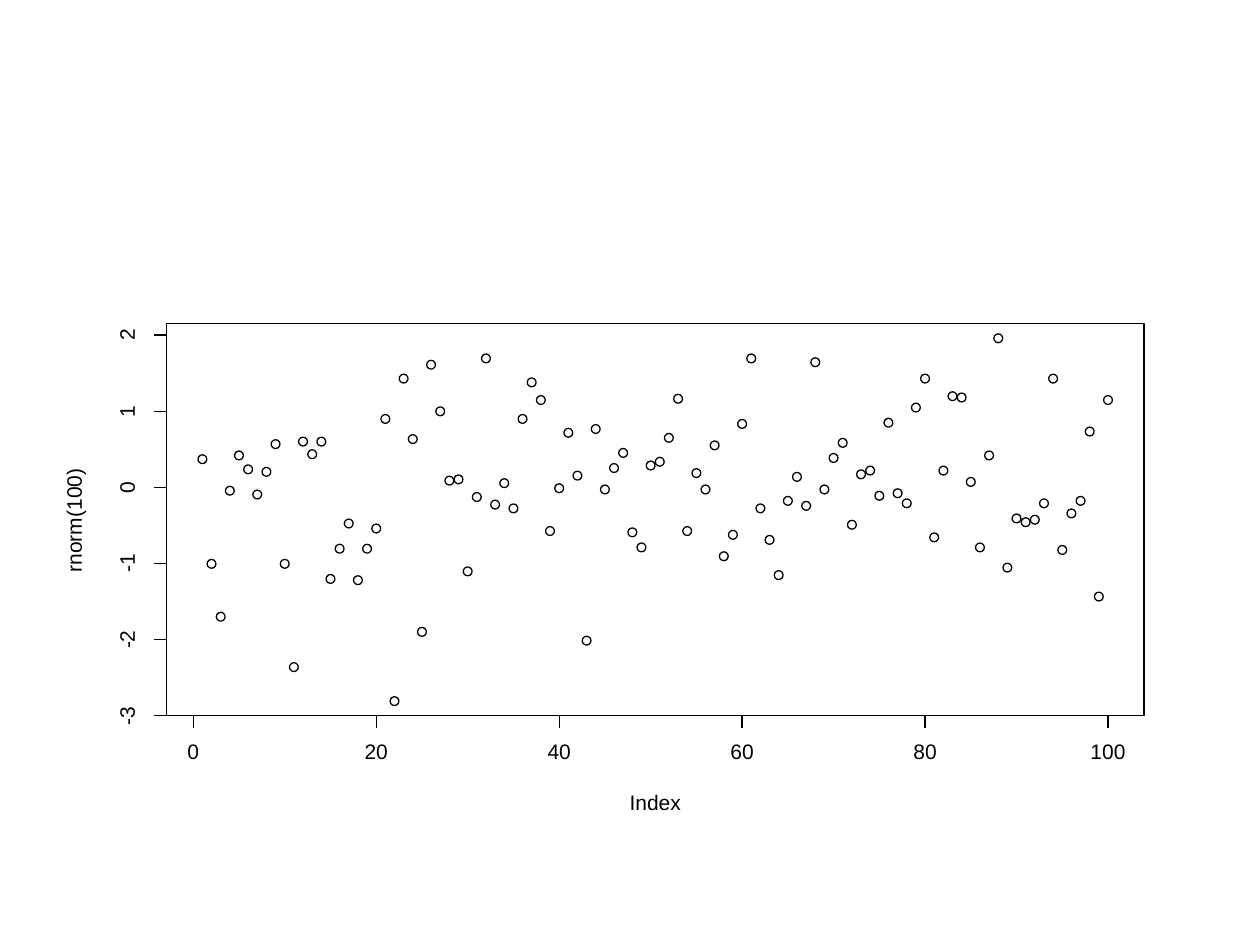
import lxml.etree
import pptx
import pptx.dml.color
import pptx.enum.shapes
import pptx.enum.text
import pptx.oxml.ns
import pptx.util

PX = 9144
BLACK = pptx.dml.color.RGBColor(0x00, 0x00, 0x00)
WHITE = pptx.dml.color.RGBColor(0xFF, 0xFF, 0xFF)
FONT = "Arial"
SHAPE = pptx.enum.shapes.MSO_SHAPE

FRAME_LEFT, FRAME_TOP, FRAME_RIGHT, FRAME_BOTTOM = 132, 257, 908, 568
X_ZERO, X_UNIT = 153.4, 7.26
Y_MIN, Y_UNIT = -3, 60.4
TICK = 10
MARKER = 7
LABEL_HEIGHT = 12
DIGIT_WIDTH, MINUS_WIDTH = 10, 6

MARKER_TOPS = [
    361, 444, 486, 386, 358, 369, 389, 371, 349, 444,
    526, 347, 357, 347, 456, 432, 412, 457, 432, 416,
    329, 553, 297, 345, 498, 286, 323, 378, 377, 450,
    391, 281, 397, 380, 400, 329, 300, 314, 418, 384,
    340, 374, 505, 337, 385, 368, 356, 419, 431, 366,
    363, 344, 313, 418, 372, 385, 350, 438, 421, 333,
    281, 400, 425, 453, 394, 375, 398, 284, 385, 360,
    348, 413, 373, 370, 390, 332, 388, 396, 320, 297,
    423, 370, 311, 312, 379, 431, 358, 265, 447, 408,
    411, 409, 396, 297, 433, 404, 394, 339, 470, 314,
]


def px(n):
    return pptx.util.Emu(round(n * PX))


def x_at(value):
    return X_ZERO + X_UNIT * value


def y_at(value):
    return FRAME_BOTTOM - Y_UNIT * (value - Y_MIN)


def add_outline(shapes, kind, x, y, w, h, color=BLACK, fill=None):
    sp = shapes.add_shape(kind, px(x), px(y), px(w), px(h))
    sp.shadow.inherit = False
    if fill is None:
        sp.fill.background()
    else:
        sp.fill.solid()
        sp.fill.fore_color.rgb = fill
    sp.line.color.rgb = color
    sp.line.width = pptx.util.Pt(0.75)


def add_line(shapes, x1, y1, x2, y2):
    straight = pptx.enum.shapes.MSO_CONNECTOR.STRAIGHT
    line = shapes.add_connector(straight, px(x1), px(y1), px(x2), px(y2))
    line.line.color.rgb = BLACK
    line.line.width = pptx.util.Pt(0.75)
    lxml.etree.SubElement(line._element.spPr, pptx.oxml.ns.qn("a:effectLst"))


def add_label(shapes, text, cx, cy, w, h=LABEL_HEIGHT, rotation=0):
    sp = shapes.add_textbox(px(cx - w / 2), px(cy - h / 2), px(w), px(h))
    sp.rotation = rotation
    tf = sp.text_frame
    tf.word_wrap = False
    tf.vertical_anchor = pptx.enum.text.MSO_ANCHOR.MIDDLE
    tf.margin_left = tf.margin_right = tf.margin_top = tf.margin_bottom = 0
    p = tf.paragraphs[0]
    p.alignment = pptx.enum.text.PP_ALIGN.CENTER
    p.line_spacing = pptx.util.Pt(12)
    r = p.add_run()
    r.text = text
    r.font.name = FONT
    r.font.size = pptx.util.Pt(12)
    r.font.color.rgb = BLACK


def number_width(text):
    return sum(MINUS_WIDTH if c == "-" else DIGIT_WIDTH for c in text)


def add_points(shapes):
    for index, top in enumerate(MARKER_TOPS, start=1):
        left = x_at(index) - MARKER / 2
        add_outline(shapes, SHAPE.OVAL, left, top, MARKER, MARKER)


def add_x_axis(shapes):
    add_line(shapes, x_at(0), FRAME_BOTTOM, x_at(100), FRAME_BOTTOM)
    for value in range(0, 101, 20):
        x = x_at(value)
        text = str(value)
        add_line(shapes, x, FRAME_BOTTOM, x, FRAME_BOTTOM + TICK)
        add_label(shapes, text, x, 598, number_width(text))


def add_y_axis(shapes):
    add_line(shapes, FRAME_LEFT, y_at(-3), FRAME_LEFT, y_at(2))
    for value in range(-3, 3):
        y = y_at(value)
        text = str(value)
        add_line(shapes, FRAME_LEFT, y, FRAME_LEFT - TICK, y)
        add_label(shapes, text, 102, y, number_width(text), rotation=270)


def main():
    prs = pptx.Presentation()
    prs.slide_width, prs.slide_height = px(1000), px(750)
    s = prs.slides.add_slide(prs.slide_layouts[6])
    shapes = s.shapes.add_group_shape().shapes
    add_outline(shapes, SHAPE.RECTANGLE, 50, 175, 900, 495, WHITE, WHITE)
    add_points(shapes)
    add_x_axis(shapes)
    add_y_axis(shapes)
    add_outline(shapes, SHAPE.RECTANGLE, FRAME_LEFT, FRAME_TOP,
                FRAME_RIGHT - FRAME_LEFT, FRAME_BOTTOM - FRAME_TOP)
    add_label(shapes, "Index", 520, 638, 42)
    add_label(shapes, "rnorm(100)", 60, 413, 86, h=16, rotation=270)
    prs.save("out.pptx")


if __name__ == "__main__":
    main()
